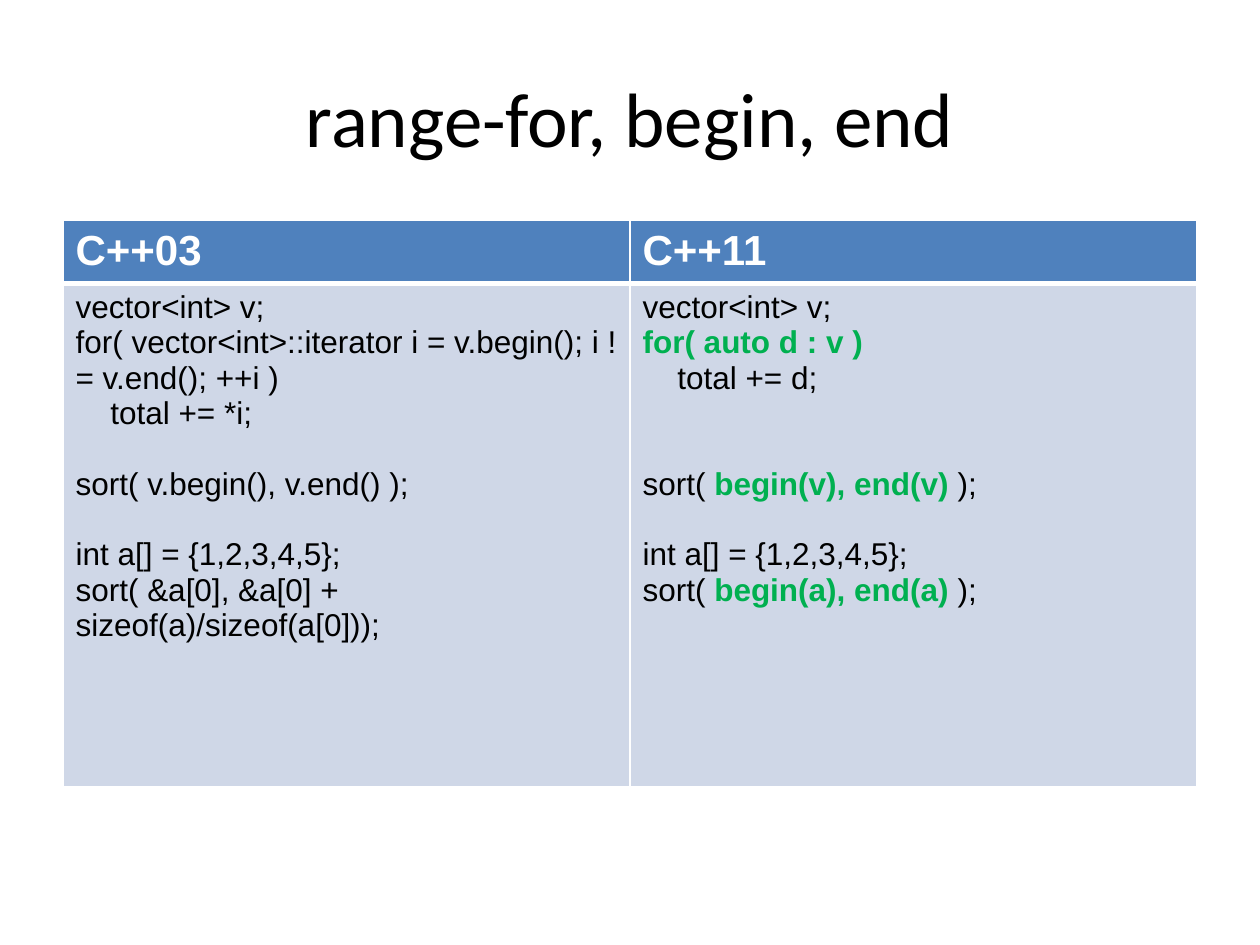
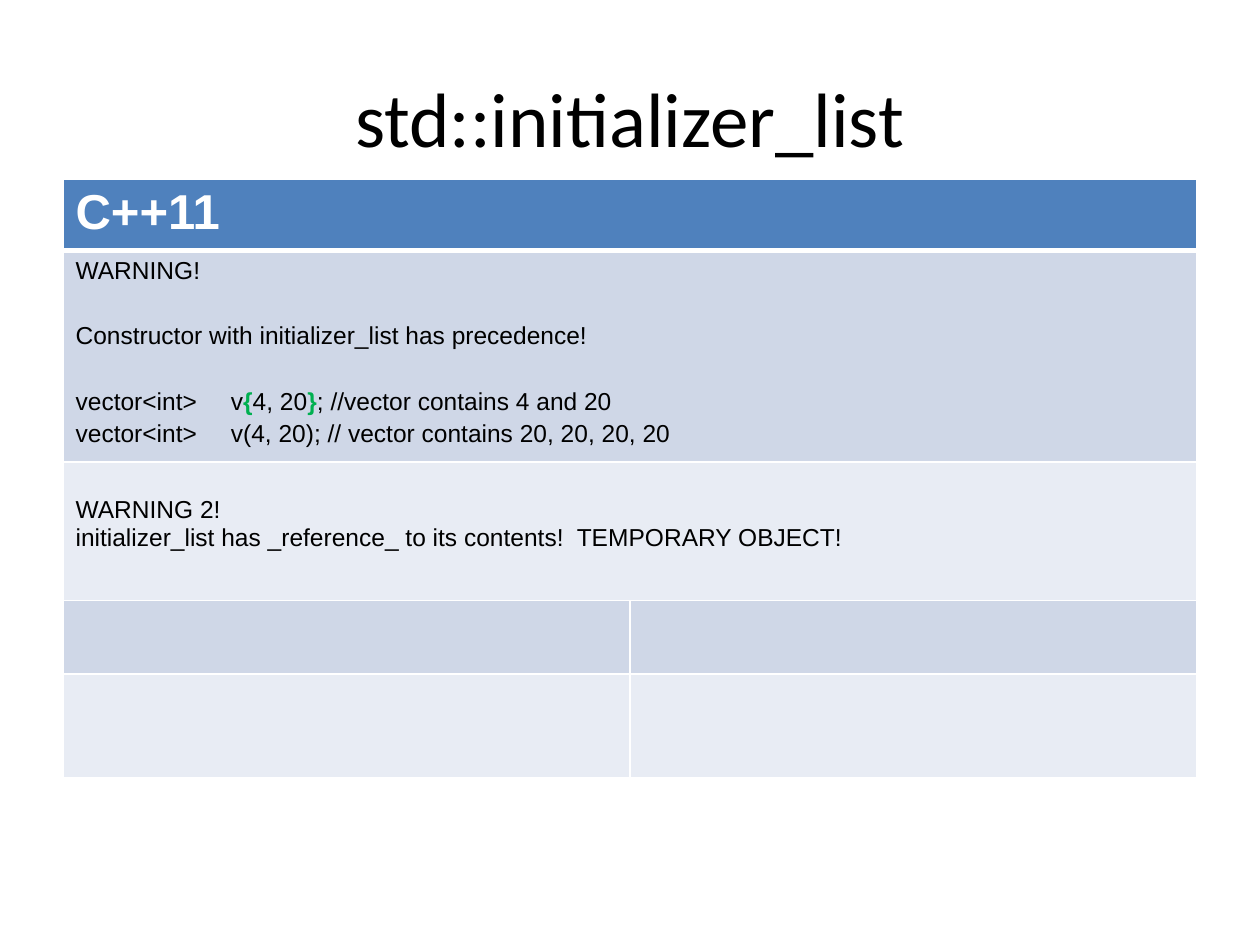
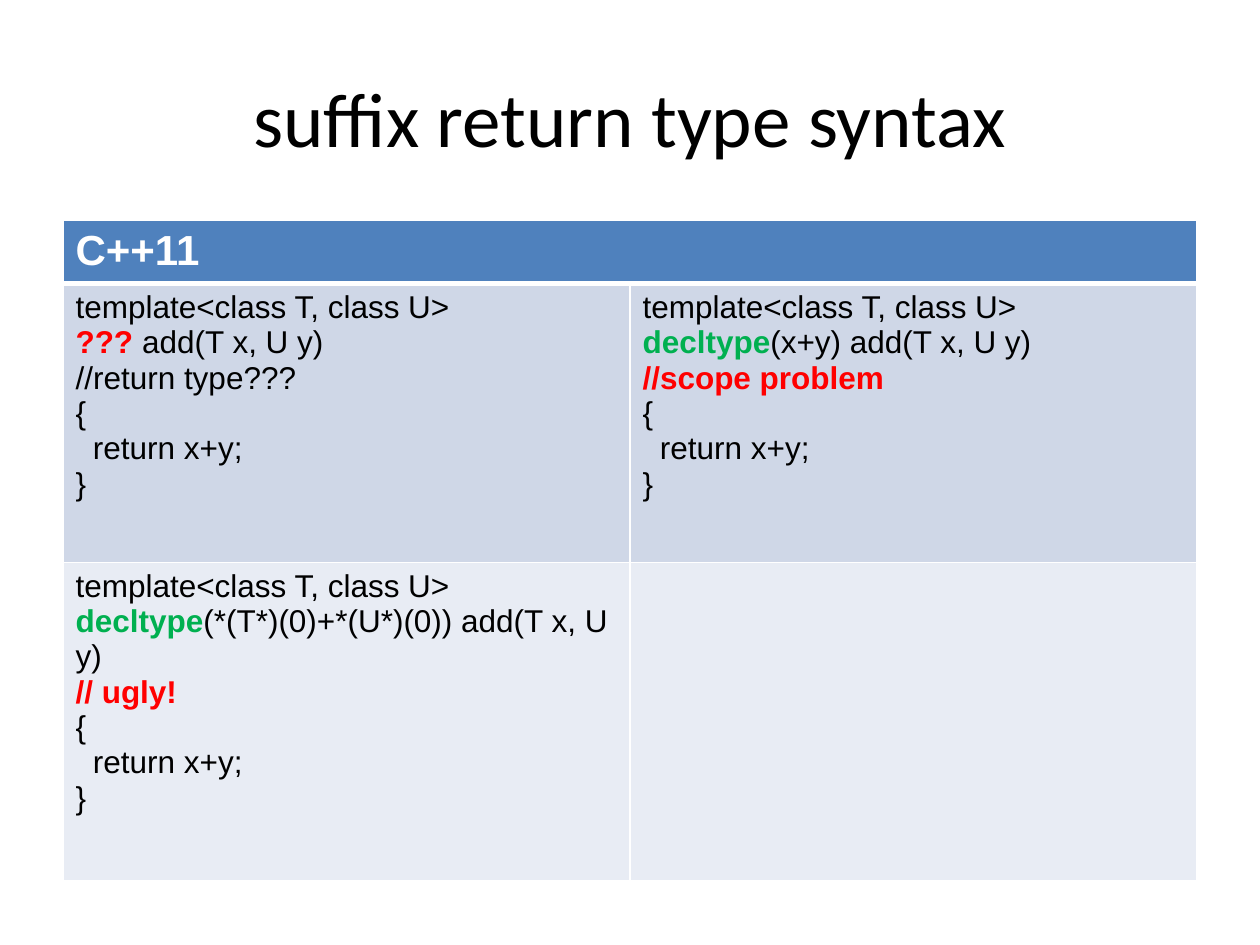
from lxml import etree
from pptx import Presentation
from pptx import util as u
from pptx.dml.color import RGBColor
from pptx.enum import text as t
from pptx.oxml import ns

HUES = {
    "ink": "000000",
    "white": "FFFFFF",
    "head": "4F81BD",
    "dark": "CFD7E7",
    "light": "E8ECF4",
    "good": "00B050",
    "bad": "FF0000",
}
LEFT, WIDE = 1.27, 22.86
STEP = 20.2


def hue(name):
    """Return the named colour."""
    return RGBColor.from_string(HUES[name])


def line(*runs, **form):
    """Pair the runs of one line with its format."""
    return runs, form


def good(word):
    """Mark a run as recommended."""
    return word, "good"


def bad(word):
    """Mark a run as a problem."""
    return word, "bad"


def put(frame, *runs, size=18, font="Arial", color="ink", bold=False,
        align=t.PP_ALIGN.LEFT, gap=0, dent=0, tab=0):
    """Add one paragraph of plain and marked runs to a text frame."""
    para = frame.paragraphs[0]
    if para.runs:
        para = frame.add_paragraph()
    para.alignment = align
    para.space_before = u.Pt(gap)
    props = para._p.get_or_add_pPr()
    if dent:
        props.set("marL", str(u.Cm(dent)))
        props.set("indent", "0")
    if tab:
        stops = etree.SubElement(props, ns.qn("a:tabLst"))
        etree.SubElement(stops, ns.qn("a:tab"), pos=str(u.Cm(tab)), algn="l")
    for part in runs:
        word, tone = (part, None) if isinstance(part, str) else part
        run = para.add_run()
        run.text = word
        run.font.size = u.Pt(size)
        run.font.name = font
        run.font.bold = bold or tone is not None
        run.font.color.rgb = hue(tone or color)


def edge(cell, top, base):
    """Draw white borders round a cell, with widths in points."""
    props = cell._tc.get_or_add_tcPr()
    for side, width in zip("LRTB", (1, 1, top, base)):
        rule = etree.SubElement(props, ns.qn("a:ln" + side), w=str(u.Pt(width)))
        fill = etree.SubElement(rule, ns.qn("a:solidFill"))
        etree.SubElement(fill, ns.qn("a:srgbClr"), val=HUES["white"])


def title(slide, words, left=LEFT, top=0.76, wide=WIDE, high=3.18):
    """Place the centred slide title in its box."""
    frame = slide.shapes.add_textbox(*map(u.Cm, (left, top, wide, high))).text_frame
    frame.word_wrap = True
    frame.vertical_anchor = t.MSO_ANCHOR.MIDDLE
    put(frame, words, size=44, font="Calibri", align=t.PP_ALIGN.CENTER)


def grid(slide, top, rows, highs, head=24, size=18, left=LEFT, wide=WIDE):
    """Place a two-column code table; a row with one cell spans both columns."""
    table = slide.shapes.add_table(
        len(rows), 2, *map(u.Cm, (left, top, wide, sum(highs)))).table
    table.horz_banding = False
    for col in table.columns:
        col.width = u.Cm(wide / 2)
    for i, (row, high) in enumerate(zip(rows, highs)):
        table.rows[i].height = u.Cm(high)
        tone = "head" if i == 0 else "dark" if i % 2 else "light"
        for j in range(2):
            cell = table.cell(i, j)
            edge(cell, 3 if i == 1 else 1, 3 if i == 0 else 1)
            cell.fill.solid()
            cell.fill.fore_color.rgb = hue(tone)
        if len(row) == 1:
            table.cell(i, 0).merge(table.cell(i, 1))
        for j, lines in enumerate(row):
            for runs, form in lines:
                look = (dict(size=head, color="white", bold=True) if i == 0
                        else dict(size=size))
                put(table.cell(i, j).text_frame, *runs, **look, **form)
    return table


def loops(slide):
    """Compare loops and ranges in both standards."""
    title(slide, "range-for, begin, end")
    past = [
        line("vector<int> v;"),
        line("for( vector<int>::iterator i = v.begin(); i != v.end(); ++i )"),
        line("total += *i;", dent=0.7),
        line("sort( v.begin(), v.end() );", gap=STEP),
        line("int a[] = {1,2,3,4,5};", gap=STEP),
        line("sort( &a[0], &a[0] + sizeof(a)/sizeof(a[0]));"),
    ]
    now = [
        line("vector<int> v;"),
        line(good("for( auto d : v )")),
        line("total += d;", dent=0.7),
        line("sort( ", good("begin(v), end(v)"), " );", gap=2 * STEP),
        line("int a[] = {1,2,3,4,5};", gap=STEP),
        line("sort( ", good("begin(a), end(a)"), " );"),
    ]
    grid(slide, 4.45, [[[line("C++03")], [line("C++11")]], [past, now]],
         [1.19, 10.14])


def lists(slide):
    """Show the two warnings on initializer lists."""
    title(slide, "std::initializer_list")
    first = [
        line("WARNING!"),
        line("Constructor with initializer_list has precedence!", gap=21.7),
        line("vector<int>\tv", good("{"), "4, 20", good("}"),
             "; //vector contains 4 and 20", gap=21.7, tab=3.13),
        line("vector<int>\tv(4, 20); // vector contains 20, 20, 20, 20",
             gap=3, tab=3.13),
    ]
    second = [
        line("WARNING 2!"),
        line("initializer_list has _reference_ to its contents!  TEMPORARY OBJECT!"),
    ]
    table = grid(slide, 3.61,
                 [[[line("C++11")]], [first], [second], [[], []], [[], []]],
                 [1.32, 4.11, 2.79, 1.48, 2.1], head=28, size=14)
    table.cell(2, 0).margin_top = u.Cm(0.69)


def suffix(slide):
    """Show the attempts at naming a return type."""
    title(slide, "suffix return type syntax")

    def code(*lines):
        """Wrap the lines that differ in the shared template."""
        return [line("template<class T, class U>"), *lines, line("{"),
                line("return x+y;", dent=0.35), line("}")]

    blank = code(line(bad("??? "), "add(T x, U y)"), line("//return type???"))
    scope = code(line(good("decltype"), "(x+y) add(T x, U y)"),
                 line(bad("//scope problem")))
    ugly = code(line(good("decltype"), "(*(T*)(0)+*(U*)(0)) add(T x, U y)"),
                line(bad("// ugly!")))
    grid(slide, 4.45, [[[line("C++11")]], [blank, scope], [ugly, []]],
         [1.19, 5.62, 6.41])


def main():
    """Build and save the deck."""
    deck = Presentation()
    deck.slide_width, deck.slide_height = u.Cm(25.4), u.Cm(19.05)
    for build in (loops, lists, suffix):
        build(deck.slides.add_slide(deck.slide_layouts[6]))
    deck.save("out.pptx")


if __name__ == "__main__":
    main()
